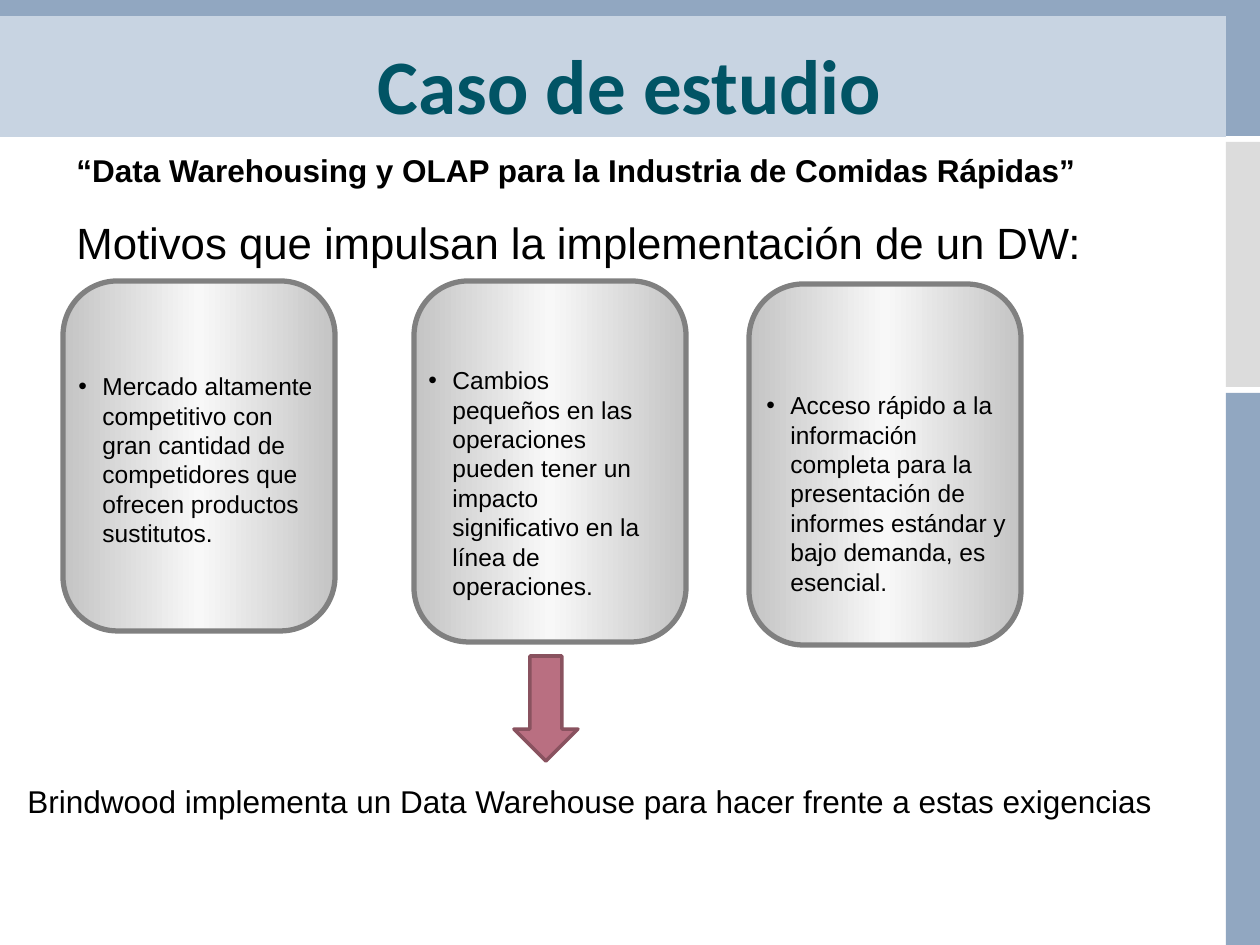
from copy import deepcopy

from lxml import etree
from pptx import Presentation
from pptx.dml.color import RGBColor
from pptx.enum.shapes import MSO_SHAPE
from pptx.enum.text import MSO_ANCHOR, MSO_AUTO_SIZE, PP_ALIGN
from pptx.oxml.ns import qn
from pptx.util import Emu, Pt

PX = 914400 // 126
RECTANGLE = MSO_SHAPE.RECTANGLE
ROUNDED = MSO_SHAPE.ROUNDED_RECTANGLE
DOWN_ARROW = MSO_SHAPE.DOWN_ARROW

BLACK = RGBColor(0x00, 0x00, 0x00)
TEAL = RGBColor(0x01, 0x54, 0x65)
BLUE = RGBColor(0x91, 0xA7, 0xC1)
PALE_BLUE = RGBColor(0xC8, 0xD4, 0xE2)
PALE_GRAY = RGBColor(0xDC, 0xDC, 0xDC)
CARD_EDGE = RGBColor(0xC4, 0xC4, 0xC4)
CARD_CENTER = RGBColor(0xF8, 0xF8, 0xF8)
CARD_LINE = RGBColor(0x80, 0x80, 0x80)
ROSE = RGBColor(0xB9, 0x6F, 0x81)
DARK_ROSE = RGBColor(0x89, 0x52, 0x5F)

# Left, top, width, height in px
BANDS = [
    ((1226, 142, 34, 245), PALE_GRAY),
    ((1226, 393, 34, 552), BLUE),
    ((0, 0, 1260, 136), BLUE),
    ((0, 16, 1226, 121), PALE_BLUE),
]

# Card box, text box, text
CARDS = [
    ((63, 281, 272, 350), (66, 365, 270, 190),
     "Mercado altamente competitivo con gran cantidad de competidores "
     "que ofrecen productos sustitutos."),
    ((414, 281, 272, 361), (416, 359, 249, 251),
     "Cambios pequeños en las operaciones pueden tener un impacto "
     "significativo en la línea de operaciones."),
    ((749, 284, 272, 361), (754, 384, 270, 221),
     "Acceso rápido a la información completa para la presentación de "
     "informes estándar y bajo demanda, es esencial."),
]


def scaled(box):
    return [Emu(value * PX) for value in box]


def style_text(paragraph, size, color=BLACK, bold=False, font="Arial"):
    for run in paragraph.runs:
        run.font.name = font
        run.font.size = Pt(size)
        run.font.bold = bold
        run.font.color.rgb = color


def add_title(slide, box, text):
    title = slide.shapes.title
    title.left, title.top, title.width, title.height = scaled(box)
    frame = title.text_frame
    frame.text = text
    frame.auto_size = MSO_AUTO_SIZE.NONE
    frame.vertical_anchor = MSO_ANCHOR.MIDDLE
    frame.paragraphs[0].alignment = PP_ALIGN.CENTER
    style_text(frame.paragraphs[0], 44, TEAL, True, "Calibri")
    # Bring the title in front of the bands
    slide.shapes._spTree.append(title._element)


def add_text(slide, box, text, size, bold=False, bullet=False):
    frame = slide.shapes.add_textbox(*scaled(box)).text_frame
    frame.word_wrap = True
    frame.text = text
    paragraph = frame.paragraphs[0]
    if bullet:
        properties = paragraph._p.get_or_add_pPr()
        properties.set("marL", str(24 * PX))
        properties.set("indent", str(-24 * PX))
        etree.SubElement(properties, qn("a:buFont"), typeface="Arial")
        etree.SubElement(properties, qn("a:buChar"), char="•")
    style_text(paragraph, size, bold=bold)


def add_shape(slide, kind, box, fill=None, line=None, line_width=0):
    shape = slide.shapes.add_shape(kind, *scaled(box))
    shape.shadow.inherit = False
    if fill is not None:
        shape.fill.solid()
        shape.fill.fore_color.rgb = fill
    if line is None:
        shape.line.fill.background()
    else:
        shape.line.color.rgb = line
        shape.line.width = Pt(line_width)
    return shape


def add_card(slide, box):
    card = add_shape(slide, ROUNDED, box, line=CARD_LINE, line_width=3)
    card.adjustments[0] = 0.2
    card.fill.gradient()
    card.fill.gradient_angle = 0
    # Third stop in the middle of the gradient
    first_stop = card._element.spPr.find(".//" + qn("a:gs"))
    middle_stop = deepcopy(first_stop)
    first_stop.addnext(middle_stop)
    stops = zip(card.fill.gradient_stops, (0, 0.5, 1),
                (CARD_EDGE, CARD_CENTER, CARD_EDGE))
    for stop, position, color in stops:
        stop.position = position
        stop.color.rgb = color


def main():
    presentation = Presentation()
    presentation.slide_width, presentation.slide_height = scaled((1260, 945))
    slide = presentation.slides.add_slide(presentation.slide_layouts[5])

    # Background bands and title
    for box, color in BANDS:
        add_shape(slide, RECTANGLE, box, color)
    add_title(slide, (63, 29, 1134, 110), "Caso de estudio")

    # Headings
    add_text(slide, (64, 145, 1121, 50),
             "“Data Warehousing y OLAP para la Industria de Comidas Rápidas”",
             18, bold=True)
    add_text(slide, (64, 210, 1119, 130),
             "Motivos que impulsan la implementación de un DW:", 25)

    # Reasons
    for card_box, text_box, text in CARDS:
        add_card(slide, card_box)
        add_text(slide, text_box, text, 14, bullet=True)

    # Conclusion
    add_shape(slide, DOWN_ARROW, (514, 656, 64, 105), ROSE, DARK_ROSE, 2)
    add_text(slide, (15, 776, 1216, 50),
             "Brindwood implementa un Data Warehouse para hacer frente a "
             "estas exigencias", 18)

    presentation.save("out.pptx")


if __name__ == "__main__":
    main()
